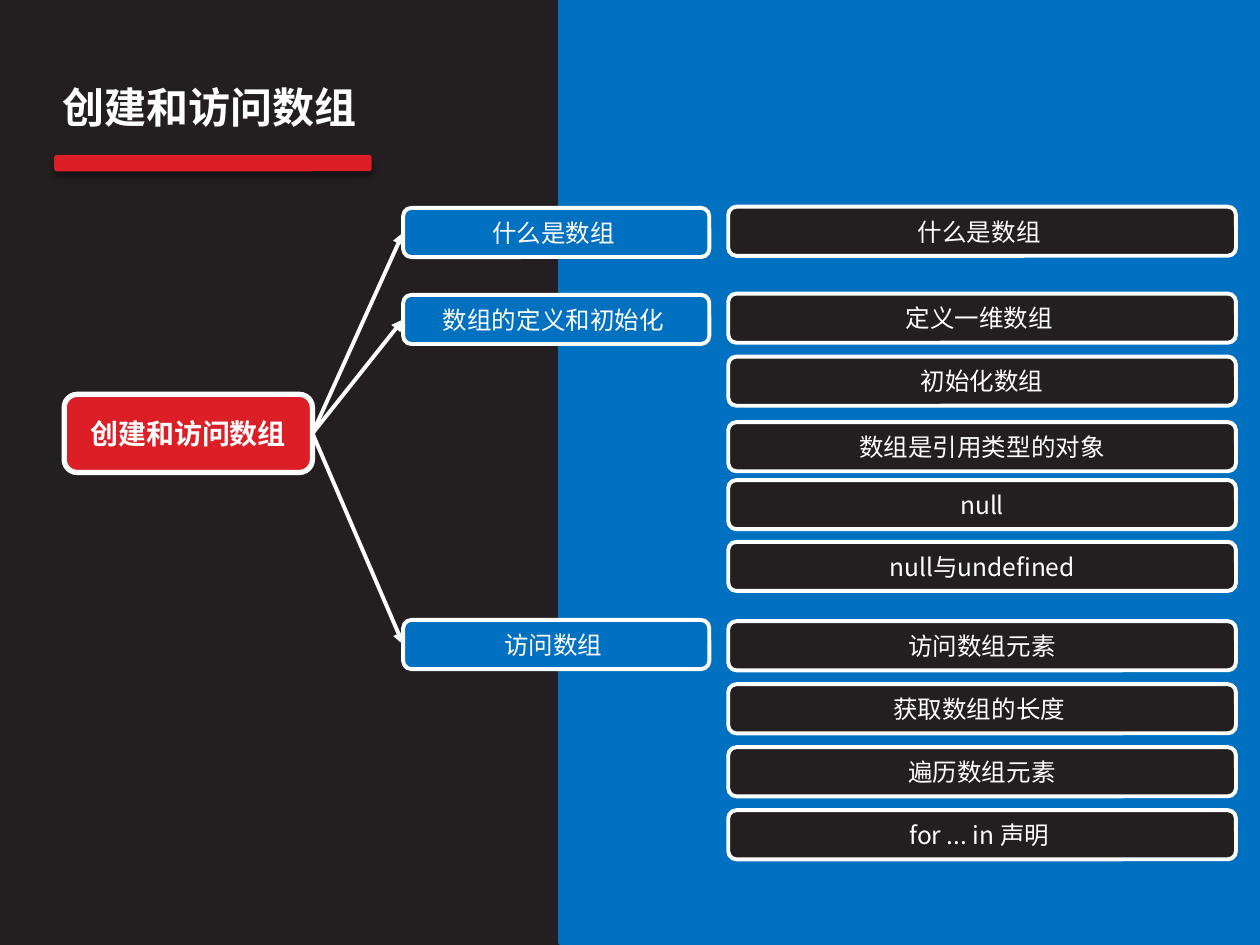
from dataclasses import dataclass

from lxml import etree
from pptx import Presentation
from pptx.dml.color import RGBColor
from pptx.enum.shapes import MSO_CONNECTOR, MSO_SHAPE
from pptx.enum.text import MSO_ANCHOR, MSO_AUTO_SIZE, PP_ALIGN
from pptx.oxml.ns import qn
from pptx.shapes.autoshape import Shape
from pptx.slide import Slide
from pptx.util import Inches, Pt

DARK = RGBColor(0x23, 0x1F, 0x20)
BLUE = RGBColor(0x00, 0x70, 0xC0)
RED = RGBColor(0xDC, 0x1F, 0x26)
WHITE = RGBColor(0xFF, 0xFF, 0xFF)
FONT = "Noto Sans CJK SC"
RECT = MSO_SHAPE.RECTANGLE
ROUND = MSO_SHAPE.ROUNDED_RECTANGLE
STRAIGHT = MSO_CONNECTOR.STRAIGHT
CENTER = PP_ALIGN.CENTER
TOP = MSO_ANCHOR.TOP
MIDDLE = MSO_ANCHOR.MIDDLE
NO_FIT = MSO_AUTO_SIZE.NONE
LEFT_SITE, RIGHT_SITE = 1, 3
ROW_HIGH = 0.39
HEADING = "创建和访问数组"


@dataclass
class Box:
    left: float
    top: float
    width: float
    height: float
    fill: RGBColor
    line: RGBColor | None = WHITE
    weight: float = 2.25


@dataclass
class Topic:
    label: str
    top: float
    details: dict[str, float]


TOPICS = [
    Topic("什么是数组 ", 1.65, {"什么是数组 ": 1.64}),
    Topic("数组的定义和初始化 ", 2.34, {
        "定义一维数组 ": 2.33,
        "初始化数组": 2.83,
        "数组是引用类型的对象": 3.35,
        "null": 3.81,
        "null与undefined": 4.3,
    }),
    Topic("访问数组 ", 4.92, {
        "访问数组元素": 4.93,
        "获取数组的长度 ": 5.43,
        "遍历数组元素": 5.93,
        "for ... in 声明 ": 6.43,
    }),
]


def write(shape: Shape, text: str, size: int, bold: bool = False,
          anchor: MSO_ANCHOR = MIDDLE) -> None:
    frame = shape.text_frame
    frame.text = text
    frame.word_wrap = True
    frame.auto_size = NO_FIT
    frame.vertical_anchor = anchor
    line = frame.paragraphs[0]
    line.alignment = CENTER
    for run in line.runs:
        run.font.name = FONT
        run.font.size = Pt(size)
        run.font.bold = bold
        run.font.color.rgb = WHITE
        east = etree.SubElement(run.font._element, qn("a:ea"))
        east.set("typeface", FONT)


def draw(slide: Slide, box: Box, kind: MSO_SHAPE = ROUND) -> Shape:
    place = map(Inches, (box.left, box.top, box.width, box.height))
    shape = slide.shapes.add_shape(kind, *place)
    shape.shadow.inherit = False
    shape.fill.solid()
    shape.fill.fore_color.rgb = box.fill
    if box.line is None:
        shape.line.fill.background()
    else:
        shape.line.color.rgb = box.line
        shape.line.width = Pt(box.weight)
    return shape


def shade(shape: Shape) -> None:
    effects = shape._element.spPr.find(qn("a:effectLst"))
    outer = etree.SubElement(effects, qn("a:outerShdw"), blurRad=str(Pt(4)),
                             dist=str(Pt(3)), dir="5400000", rotWithShape="0")
    color = etree.SubElement(outer, qn("a:srgbClr"), val="000000")
    etree.SubElement(color, qn("a:alpha"), val="43000")


def link(slide: Slide, start: Shape, end: Shape) -> None:
    arrow = slide.shapes.add_connector(STRAIGHT, 0, 0, 0, 0)
    arrow.begin_connect(start, RIGHT_SITE)
    arrow.end_connect(end, LEFT_SITE)
    arrow.line.color.rgb = WHITE
    arrow.line.width = Pt(2.25)
    etree.SubElement(arrow.line._get_or_add_ln(), qn("a:tailEnd"), type="triangle")
    etree.SubElement(arrow._element.spPr, qn("a:effectLst"))


def build() -> None:
    deck = Presentation()
    deck.slide_width = Inches(10)
    deck.slide_height = Inches(7.5)
    slide = deck.slides.add_slide(deck.slide_layouts[5])
    back = slide.background.fill
    back.solid()
    back.fore_color.rgb = DARK
    draw(slide, Box(4.45, 0, 5.55, 7.48, BLUE, BLUE, 3), RECT)

    title = slide.shapes.title
    title.left, title.top = Inches(0.28), Inches(0.6)
    title.width, title.height = Inches(2.77), Inches(0.71)
    write(title, HEADING, 24, True, TOP)
    shade(draw(slide, Box(0.43, 1.23, 2.52, 0.13, RED, None)))

    root = draw(slide, Box(0.51, 3.13, 1.97, 0.62, RED, weight=3))
    write(root, HEADING, 16, True)
    for topic in TOPICS:
        branch = draw(slide, Box(3.2, topic.top, 2.43, ROW_HIGH, BLUE))
        write(branch, topic.label, 14)
        link(slide, root, branch)
        for text, top in topic.details.items():
            leaf = draw(slide, Box(5.78, top, 4.03, ROW_HIGH, DARK))
            write(leaf, text, 14)
    deck.save("out.pptx")


build()
